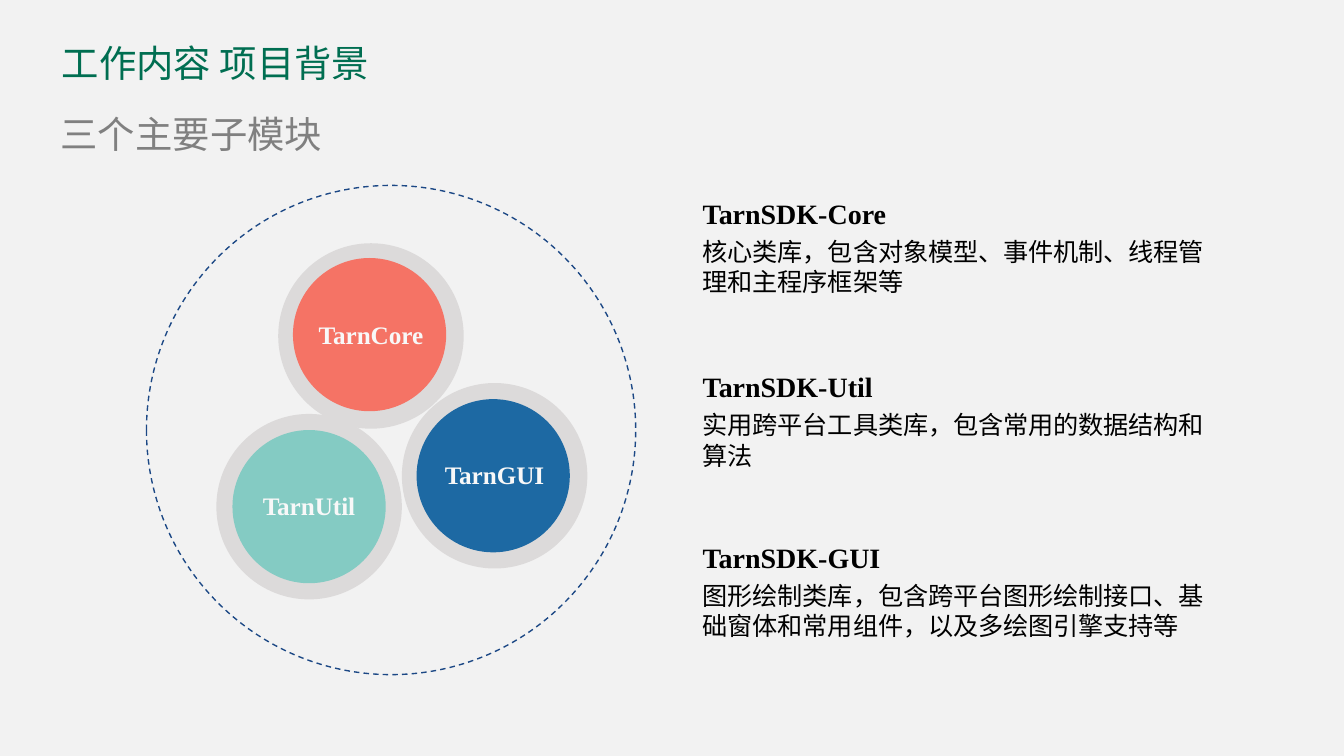
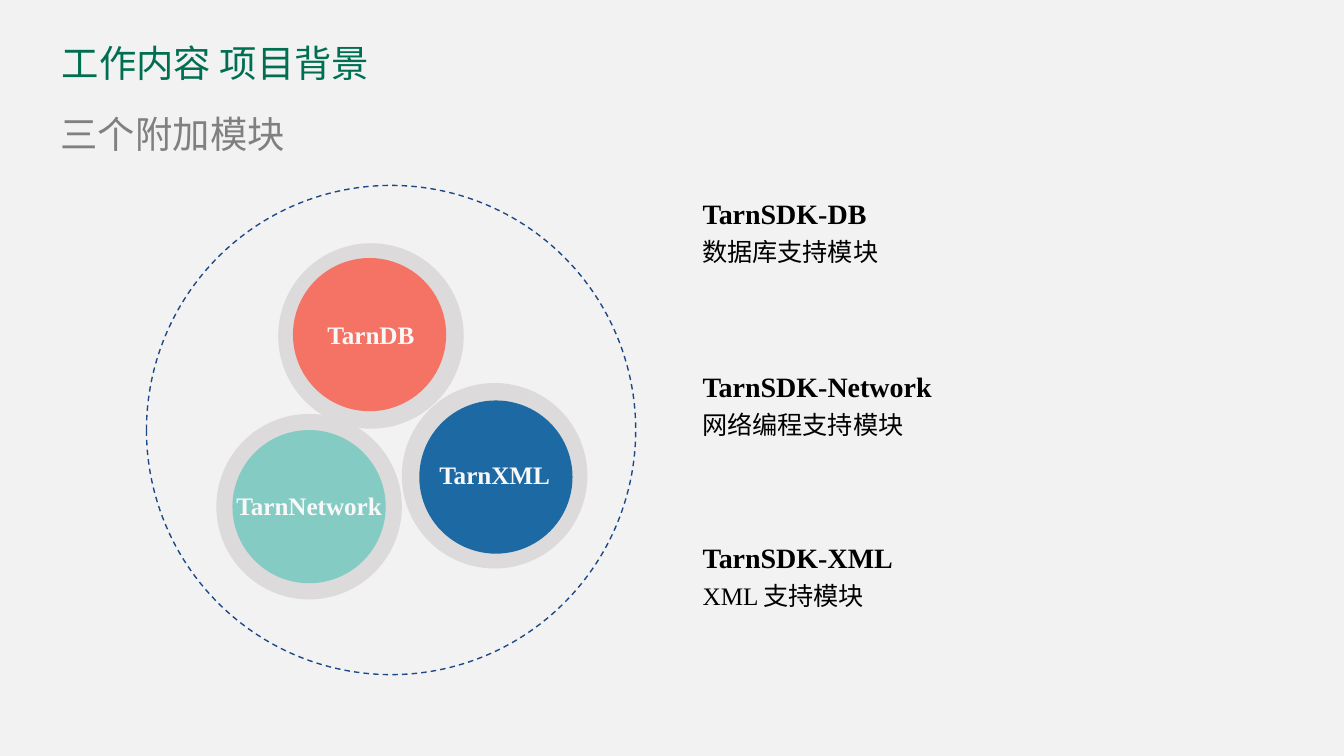
from dataclasses import dataclass

from pptx import Presentation
from pptx.dml.color import RGBColor
from pptx.enum.dml import MSO_LINE
from pptx.enum.shapes import MSO_SHAPE
from pptx.enum.text import MSO_AUTO_SIZE, PP_ALIGN
from pptx.oxml.ns import qn
from pptx.util import Inches, Pt

COLORS = {
    "background": "F2F2F2", "title": "006E51", "subtitle": "808080",
    "orbit": "1C4885", "ring": "DCDADA", "label": "F8F8F8", "text": "000000",
    "coral": "F57365", "teal": "84CBC3", "blue": "1D69A3",
}
CJK_FONT = "Noto Sans CJK SC"
LATIN_FONT = "Times New Roman"

SLIDE_WIDTH = Inches(10)
SLIDE_HEIGHT = SLIDE_WIDTH * 9 // 16

RING_SIZE, DISC_SIZE = 1.38, 1.14
RINGS = {"coral": (2.07, 1.81), "teal": (1.61, 3.08), "blue": (2.99, 2.85)}
DRAW_ORDER = ("teal", "blue", "coral")
TEXT_LEFT, TEXT_TOPS = 5.13, (1.41, 2.7, 3.97)


@dataclass
class Module:
    color: str
    label: str
    label_width: float
    heading: str
    heading_width: float
    description: str
    disc: tuple
    font: str = CJK_FONT
    lines: int = 1


SLIDES = [
    ("三个主要子模块", [
        Module("coral", "TarnCore", 1.02, "TarnSDK-Core", 1.58,
               "核心类库，包含对象模型、事件机制、线程管理和主程序框架等",
               (2.18, 1.92), lines=2),
        Module("teal", "TarnUtil", 0.97, "TarnSDK-Util", 1.48,
               "实用跨平台工具类库，包含常用的数据结构和算法",
               (1.73, 3.2), lines=2),
        Module("blue", "TarnGUI", 1.04, "TarnSDK-GUI", 1.56,
               "图形绘制类库，包含跨平台图形绘制接口、基础窗体和常用组件，"
               "以及多绘图引擎支持等", (3.1, 2.97), lines=2),
    ]),
    ("三个附加模块", [
        Module("coral", "TarnDB", 1.02, "TarnSDK-DB", 1.45,
               "数据库支持模块", (2.18, 1.92)),
        Module("teal", "TarnNetwork", 1.42, "TarnSDK-Network", 1.93,
               "网络编程支持模块", (1.73, 3.2)),
        Module("blue", "TarnXML", 1.08, "TarnSDK-XML", 1.65,
               "XML 支持模块", (3.12, 2.98), LATIN_FONT),
    ]),
]


def rgb(name):
    return RGBColor.from_string(COLORS[name])


def add_text(slide, text, box, size, color, font=LATIN_FONT, bold=False,
             align=PP_ALIGN.LEFT, wrap=True, inset=True):
    sp = slide.shapes.add_textbox(*map(Inches, box))
    tf = sp.text_frame
    tf.text = text
    tf.word_wrap = wrap
    tf.auto_size = MSO_AUTO_SIZE.SHAPE_TO_FIT_TEXT
    if not inset:
        tf.margin_left = tf.margin_right = tf.margin_top = tf.margin_bottom = 0
    p = tf.paragraphs[0]
    p.alignment = align
    r = p.runs[0]
    r.font.size = Pt(size)
    r.font.bold = bold
    r.font.name = font
    r.font.color.rgb = rgb(color)
    # East Asian glyphs always use the CJK font
    ea = r.font._element.makeelement(qn("a:ea"), {"typeface": CJK_FONT})
    r.font._element.find(qn("a:latin")).addnext(ea)


def add_circle(slide, left, top, size, fill=None):
    sp = slide.shapes.add_shape(MSO_SHAPE.OVAL, *map(Inches, (left, top, size, size)))
    sp.shadow.inherit = False
    if fill:
        sp.fill.solid()
        sp.fill.fore_color.rgb = rgb(fill)
        sp.line.fill.background()
    else:
        sp.fill.background()
    return sp


def add_orbit(slide):
    sp = add_circle(slide, 1.09, 1.38, 3.64)
    sp.line.color.rgb = rgb("orbit")
    sp.line.width = Pt(0.75)
    sp.line.dash_style = MSO_LINE.DASH


def add_module_circle(slide, module):
    add_circle(slide, *RINGS[module.color], RING_SIZE, "ring")
    add_circle(slide, *module.disc, DISC_SIZE, module.color)


def add_module_label(slide, module):
    left, top = RINGS[module.color]
    box = (left + (RING_SIZE - module.label_width) / 2, top + 0.52,
           module.label_width, 0.33)
    add_text(slide, module.label, box, 13.5, "label", bold=True,
             align=PP_ALIGN.CENTER)


def add_module_text(slide, module, top):
    add_text(slide, module.heading, (TEXT_LEFT, top, module.heading_width, 0.35),
             15, "text", bold=True, wrap=False)
    height = 0.33 + 0.22 * (module.lines - 1)
    add_text(slide, module.description, (TEXT_LEFT, top + 0.3, 4.01, height),
             13.5, "text", module.font)


def add_module_slide(prs, subtitle, modules):
    slide = prs.slides.add_slide(prs.slide_layouts[6])
    slide.background.fill.solid()
    slide.background.fill.fore_color.rgb = rgb("background")

    # Titles
    add_text(slide, "工作内容 项目背景", (0.46, 0.3, 3.04, 0.34), 20, "title",
             CJK_FONT, inset=False)
    add_text(slide, subtitle, (0.45, 0.83, 2.02, 0.34), 20, "subtitle",
             inset=False)

    # Circle diagram; all circles lie below the labels
    add_orbit(slide)
    for module in sorted(modules, key=lambda m: DRAW_ORDER.index(m.color)):
        add_module_circle(slide, module)

    # Labels and descriptions
    for module, top in zip(modules, TEXT_TOPS):
        add_module_label(slide, module)
        add_module_text(slide, module, top)


def main():
    prs = Presentation()
    prs.slide_width = SLIDE_WIDTH
    prs.slide_height = SLIDE_HEIGHT
    for subtitle, modules in SLIDES:
        add_module_slide(prs, subtitle, modules)
    prs.save("out.pptx")


if __name__ == "__main__":
    main()
